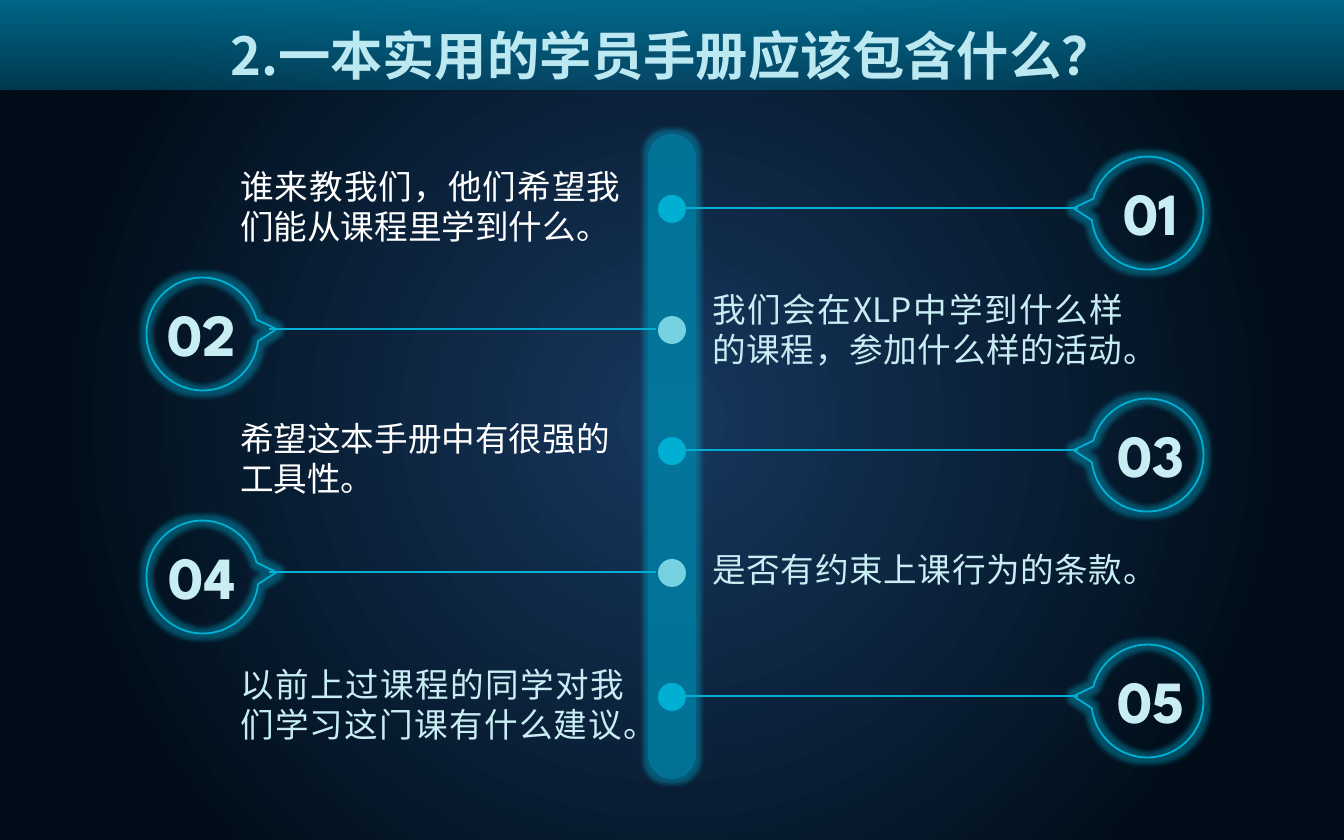
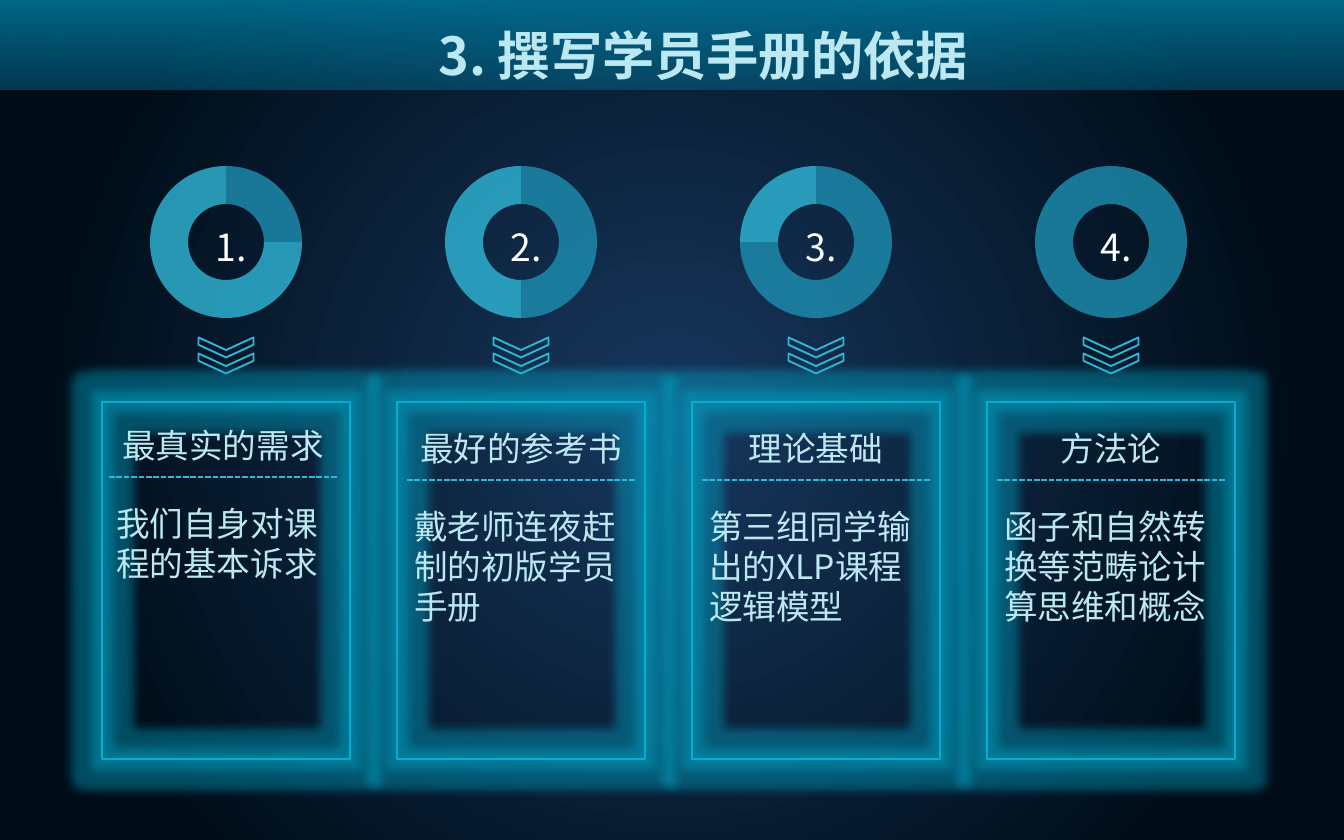
"""Builds two dark slides about a student handbook: a timeline and four cards."""
from dataclasses import dataclass
from typing import Any, Optional

from lxml import etree
from pptx import Presentation, util as u
from pptx.dml.color import RGBColor
from pptx.enum import dml, lang, shapes, text
from pptx.oxml.ns import qn

PX = 914400 / 134.4
WIDE, HIGH = 1344, 840
SANS, ROUND = "Noto Sans CJK SC", "League Spartan"
WHITE, PALE, ICE = "FFFFFF", "C8EDF3", "BCE8F2"
CYAN, SKY, DEEP, TEAL, MIST = "00AFD2", "30B8D8", "1E8FB2", "007DA4", "76D1E0"
NIGHT = [(0, "17375E", 100), (80, "000D18", 100)]
BAND = [(0, TEAL, 80), (100, TEAL, 39)]
SHINE = [(0, "4EC3DE", 100), (40, ICE, 100), (60, ICE, 100), (100, "4EC3DE", 100)]
KIND, ALIGN = shapes.MSO_SHAPE, text.PP_ALIGN


@dataclass(frozen=True)
class Box:
    """A frame in pixels."""
    x: int
    y: int
    w: int
    h: int

    def emu(self) -> list[u.Emu]:
        """Return the frame in EMU."""
        return [size(v) for v in (self.x, self.y, self.w, self.h)]


@dataclass(frozen=True)
class Stop:
    """One numbered stop of the timeline with its note."""
    top: int
    note: str
    box: Box
    hue: str = PALE
    align: Any = ALIGN.JUSTIFY


@dataclass(frozen=True)
class Card:
    """One column of the second slide."""
    head: str
    body: str
    shift: int = 0


def size(px: float) -> u.Emu:
    """Turn pixels into EMU."""
    return u.Emu(round(px * PX))


def rgb(hue: str) -> RGBColor:
    """Turn a hex string into a colour."""
    return RGBColor.from_string(hue)


def tint(node: Any, hue: str, alpha: int) -> None:
    """Append a colour with opacity in percent."""
    clr = etree.SubElement(node, qn("a:srgbClr"), {"val": hue})
    etree.SubElement(clr, qn("a:alpha"), {"val": str(alpha * 1000)})


def grade(fill: Any, root: Any, stops: list, turn: Optional[int]) -> None:
    """Set a linear gradient, or a round one when no angle is given."""
    fill.gradient()
    node = root.find(".//" + qn("a:gradFill"))
    node.clear()
    rows = etree.SubElement(node, qn("a:gsLst"))
    for pos, hue, alpha in stops:
        tint(etree.SubElement(rows, qn("a:gs"), {"pos": str(pos * 1000)}), hue, alpha)
    if turn is None:
        ring = etree.SubElement(node, qn("a:path"), {"path": "circle"})
        etree.SubElement(ring, qn("a:fillToRect"), dict.fromkeys("ltrb", "50000"))
    else:
        etree.SubElement(node, qn("a:lin"), {"ang": str(turn * 60000), "scaled": "0"})


def draw(slide: Any, kind: Any, box: Box, fill: str = "", edge: str = "",
         alpha: int = 100, adj: tuple = (), turn: float = 0, glow: int = 0) -> Any:
    """Add a preset shape."""
    shape = slide.shapes.add_shape(kind, *box.emu())
    shape.shadow.inherit = False
    shape.rotation = turn
    for i, val in enumerate(adj):
        shape.adjustments[i] = val
    if fill:
        shape.fill.solid()
        shape.fill.fore_color.rgb = rgb(fill)
        if alpha < 100:
            solid = shape._element.spPr.find(qn("a:solidFill"))
            solid.clear()
            tint(solid, fill, alpha)
    else:
        shape.fill.background()
    if edge:
        shape.line.color.rgb = rgb(edge)
        shape.line.width = u.Pt(1)
    else:
        shape.line.fill.background()
    if glow:
        fx = shape._element.spPr.find(qn("a:effectLst"))
        tint(etree.SubElement(fx, qn("a:glow"), {"rad": str(size(glow))}), CYAN, 40)
    return shape


def rule(slide: Any, x: int, y: int, end: int, hue: str, dash: Any = None) -> None:
    """Add a level line."""
    line = slide.shapes.add_connector(
        shapes.MSO_CONNECTOR.STRAIGHT, size(x), size(y), size(end), size(y))
    line.line.color.rgb = rgb(hue)
    line.line.width = u.Pt(1)
    if dash:
        line.line.dash_style = dash
    etree.SubElement(line._element.spPr, qn("a:effectLst"))


def write(slide: Any, words: str, box: Box, hue: str, pts: int = 18,
          align: Any = ALIGN.LEFT, face: str = SANS, bold: bool = False,
          lead: Optional[float] = None) -> Any:
    """Add a text box with one run and return its paragraph."""
    frame = slide.shapes.add_textbox(*box.emu()).text_frame
    frame.word_wrap = True
    frame.auto_size = text.MSO_AUTO_SIZE.SHAPE_TO_FIT_TEXT
    para = frame.paragraphs[0]
    para.alignment, para.line_spacing = align, lead
    run = para.add_run()
    run.text = words
    look = {"size": u.Pt(pts), "bold": bold, "name": face,
            "language_id": lang.MSO_LANGUAGE_ID.SIMPLIFIED_CHINESE}
    for key, val in look.items():
        setattr(run.font, key, val)
    run.font.color.rgb = rgb(hue)
    etree.SubElement(run._r.rPr, qn("a:ea"), {"typeface": face})
    return para


def start(deck: Any, title: str, box: Box) -> Any:
    """Add a slide with backdrop, band and title."""
    slide = deck.slides.add_slide(deck.slide_layouts[6])
    grade(slide.background.fill, slide.element, NIGHT, None)
    band = draw(slide, KIND.RECTANGLE, Box(0, 0, WIDE, 90))
    grade(band.fill, band._element.spPr, BAND, 90)
    para = write(slide, title, box, ICE, 28, ALIGN.CENTER, bold=True, lead=1.2)
    para.space_before = u.Pt(0)
    gap = para._p.pPr.find(qn("a:spcBef"))
    gap.clear()
    etree.SubElement(gap, qn("a:spcPct"), {"val": "50000"})
    run = para.runs[0]
    grade(run.font.fill, run._r, SHINE, 0)
    return slide


def mark(slide: Any, num: int, stop: Stop) -> None:
    """Draw one stop: dot, line, callout, number and note."""
    right = num % 2 == 1
    top = stop.top
    draw(slide, KIND.OVAL, Box(658, top + 38, 28, 28), CYAN if right else MIST)
    bub = draw(slide, KIND.OVAL_CALLOUT, Box(1091 if right else 146, top, 113, 112),
               edge=CYAN, adj=(-0.113, 0.652), turn=103.7 if right else 256.3, glow=10)
    if right:
        bub._element.spPr.xfrm.set("flipH", "1")
    ends = (684, 1078) if right else (269, 656)
    rule(slide, ends[0], top + 51, ends[1], CYAN)
    write(slide, f"{num:02}", Box(1089 if right else 140, top + 26, 124, 71),
          PALE, 32, ALIGN.CENTER, ROUND, True, 0.8)
    write(slide, stop.note, stop.box, stop.hue, align=stop.align)


def ring(slide: Any, box: Box, part: int) -> None:
    """Draw a ring with the given number of dark quarters."""
    if part == 4:
        draw(slide, KIND.DONUT, box, DEEP, alpha=80, adj=(0.25,))
        return
    up, cut = 270, (270 + 90 * part) % 360
    for hue, beg, end in ((SKY, cut, up), (DEEP, up, cut)):
        draw(slide, KIND.BLOCK_ARC, box, hue, alpha=80,
             adj=(beg * 0.6, end * 0.6, 0.25))


def column(slide: Any, num: int, card: Card) -> None:
    """Draw one column: ring, chevrons and framed text."""
    x = 150 + 295 * (num - 1)
    ring(slide, Box(x, 166, 152, 152), num)
    write(slide, f"{num}.", Box(x + 34, 218, 94, 59), WHITE, 20, ALIGN.CENTER)
    for y in (320, 336):
        draw(slide, KIND.CHEVRON, Box(x + 66, y, 20, 55), edge=SKY,
             adj=(0.632,), turn=90)
    left, move = x - 48, card.shift
    draw(slide, KIND.RECTANGLE, Box(left, 402, 248, 357), edge=CYAN, glow=20)
    write(slide, card.head, Box(left + 5 + move, 421 + move, 238, 54), ICE,
          align=ALIGN.CENTER)
    rule(slide, left + 10 + move, 480 + move, left + 238 + move, SKY,
         dml.MSO_LINE.SQUARE_DOT)
    write(slide, card.body, Box(left + 4 + move, 499 + move, 238, 136), ICE)


STOPS = [
    Stop(157, "谁来教我们，他们希望我们能从课程里学到什么。", Box(227, 159, 407, 95), WHITE),
    Stop(278, "我们会在XLP中学到什么样的课程，参加什么样的活动。", Box(699, 282, 438, 95)),
    Stop(399, "希望这本手册中有很强的工具性。", Box(227, 411, 407, 95), WHITE, ALIGN.LEFT),
    Stop(521, "是否有约束上课行为的条款。", Box(699, 542, 438, 54)),
    Stop(645, "以前上过课程的同学对我们学习这门课有什么建议。", Box(227, 657, 410, 95)),
]
CARDS = [
    Card("最真实的需求", "我们自身对课程的基本诉求", -3),
    Card("最好的参考书", "戴老师连夜赶制的初版学员手册"),
    Card("理论基础", "第三组同学输出的XLP课程逻辑模型"),
    Card("方法论", "函子和自然转换等范畴论计算思维和概念"),
]


def main() -> None:
    """Build and save the deck."""
    deck = Presentation()
    deck.slide_width, deck.slide_height = size(WIDE), size(HIGH)
    line = start(deck, "2.一本实用的学员手册应该包含什么？", Box(207, 4, 930, 90))
    draw(line, KIND.ROUNDED_RECTANGLE, Box(648, 134, 48, 645), TEAL,
         alpha=70, adj=(0.5,), glow=10)
    for num, stop in enumerate(STOPS, 1):
        mark(line, num, stop)
    base = start(deck, "3. 撰写学员手册的依据", Box(238, 4, 930, 79))
    for num, card in enumerate(CARDS, 1):
        column(base, num, card)
    deck.save("out.pptx")


main()
